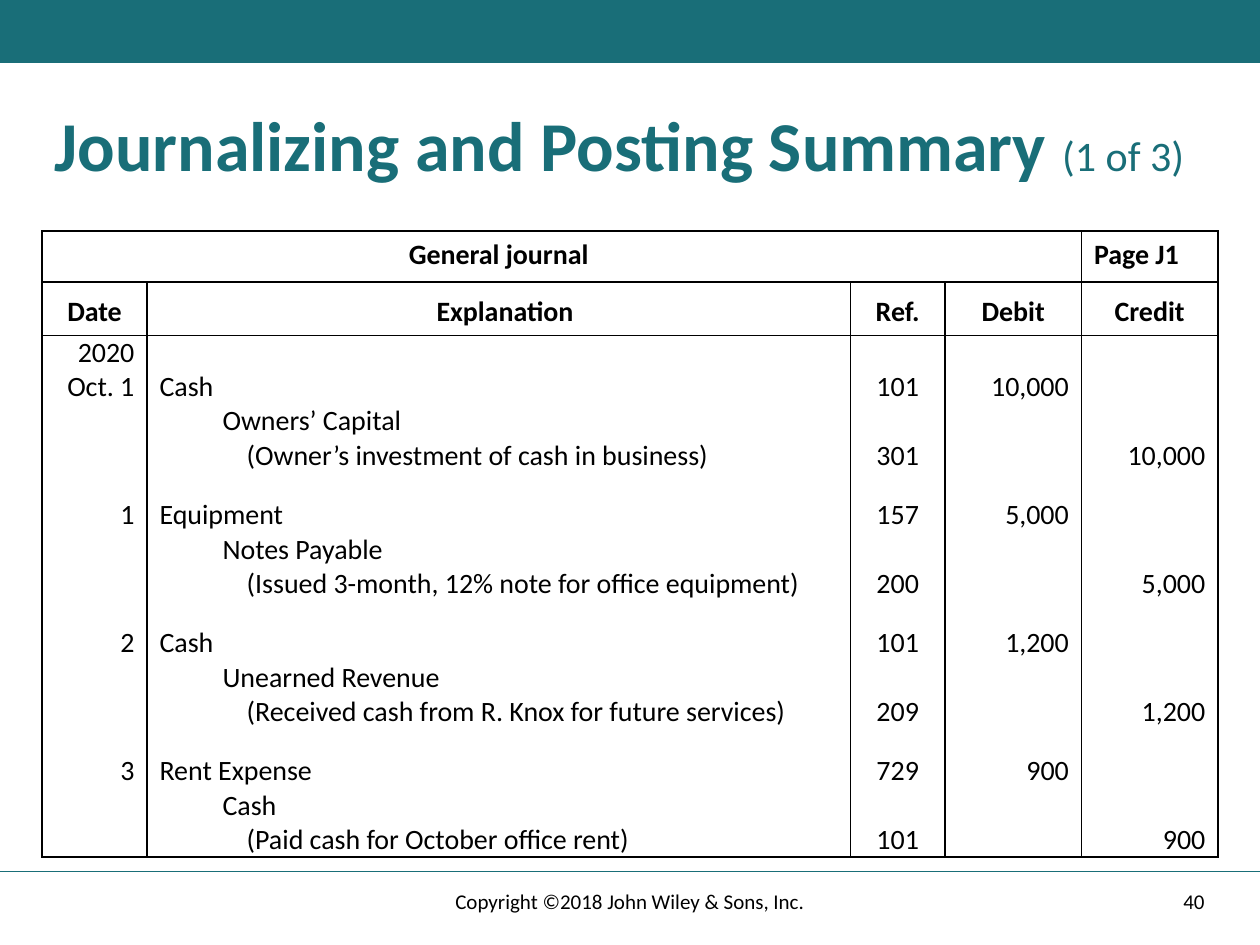
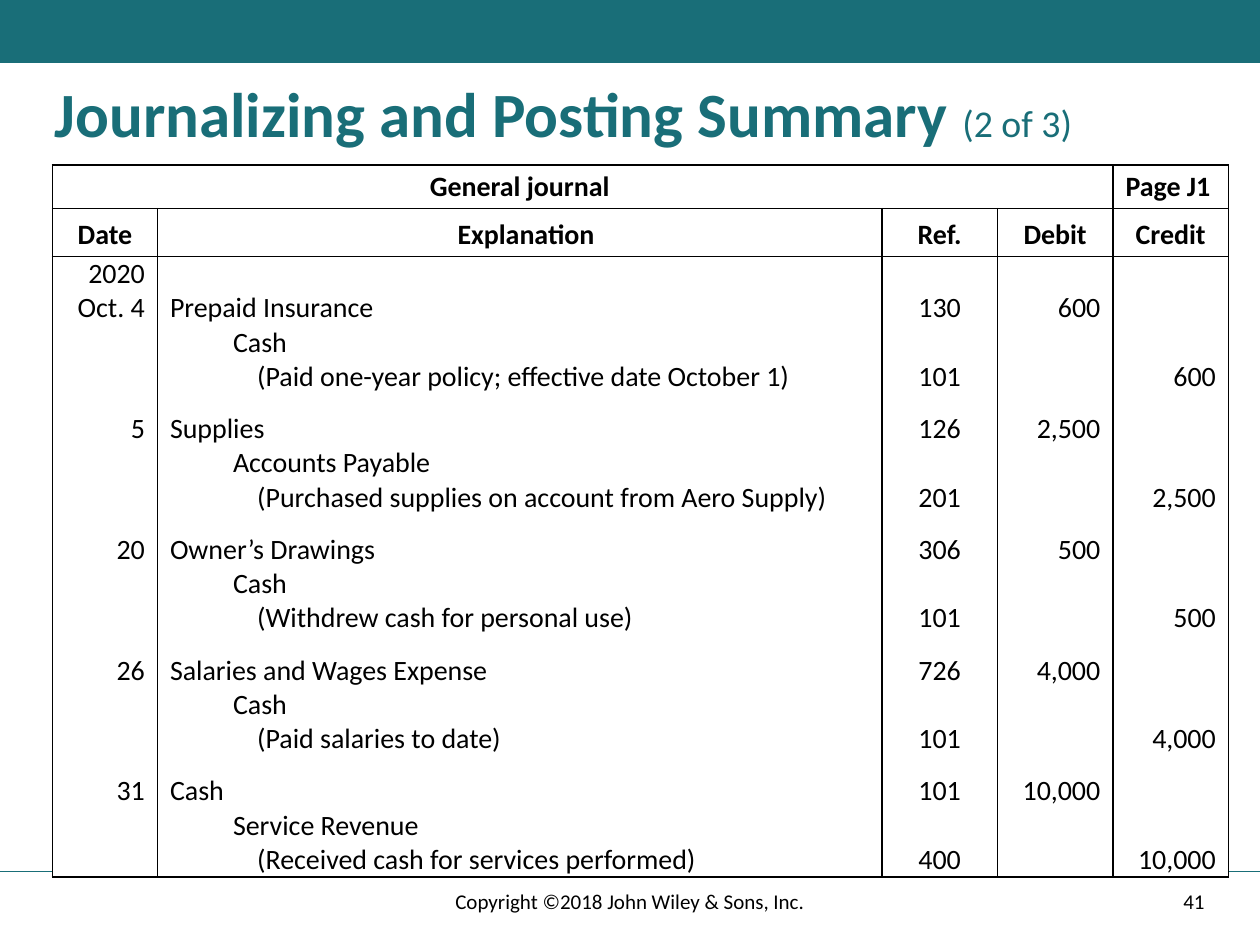
from lxml import etree
from pptx import Presentation
from pptx import util as u
from pptx.dml.color import RGBColor
from pptx.enum import shapes, text
from pptx.oxml.ns import qn

TEAL, BLACK, WHITE = "196E78", "000000", "FFFFFF"
FONT = "Calibri"
COLS, ROWS = 120, 90
BAND_ROWS, RULE_ROW, FOOT_ROW, FOOT_ROWS = 6, 83, 83.4, 4.8
LINE_ROWS = 3.27
LEFT, CENTER, RIGHT = text.PP_ALIGN.LEFT, text.PP_ALIGN.CENTER, text.PP_ALIGN.RIGHT
TOP, MIDDLE, BOTTOM = text.MSO_ANCHOR.TOP, text.MSO_ANCHOR.MIDDLE, text.MSO_ANCHOR.BOTTOM
HEADINGS = ["Date", "Explanation", "Ref.", "Debit", "Credit"]
BODY_ALIGNS = [RIGHT, LEFT, CENTER, RIGHT, RIGHT]
INDENTS = [0, 6, 8.3]
COPYRIGHT = "Copyright ©2018 John Wiley & Sons, Inc."

SLIDES = [
    dict(part="(1 of 3)", number=40, title_box=(4, 10, 112, 10), title_size=40,
         corner=(4, 22), widths=[10, 67, 9, 13, 13], heights=[4.87, 5.05],
         title_pad=0.6, head_pads=(1.2, 0.6), gap=2.4,
         entries=[
             ("2020\nOct. 1", "Cash", "101", "10,000", "Owners’ Capital",
              "(Owner’s investment of cash in business)", "301"),
             ("1", "Equipment", "157", "5,000", "Notes Payable",
              "(Issued 3-month, 12% note for office equipment)", "200"),
             ("2", "Cash", "101", "1,200", "Unearned Revenue",
              "(Received cash from R. Knox for future services)", "209"),
             ("3", "Rent Expense", "729", "900", "Cash",
              "(Paid cash for October office rent)", "101"),
         ]),
    dict(part="(2 of 3)", number=41, title_box=(4, 7.3, 112, 8), title_size=36,
         corner=(5, 15.7), widths=[10, 69, 11, 11, 11], heights=[4.1, 4.57],
         title_pad=0.45, head_pads=(0.85, 0.45), gap=1.7,
         entries=[
             ("2020\nOct. 4", "Prepaid Insurance", "130", "600", "Cash",
              "(Paid one-year policy; effective date October 1)", "101"),
             ("5", "Supplies", "126", "2,500", "Accounts Payable",
              "(Purchased supplies on account from Aero Supply)", "201"),
             ("20", "Owner’s Drawings", "306", "500", "Cash",
              "(Withdrew cash for personal use)", "101"),
             ("26", "Salaries and Wages Expense", "726", "4,000", "Cash",
              "(Paid salaries to date)", "101"),
             ("31", "Cash", "101", "10,000", "Service Revenue",
              "(Received cash for services performed)", "400"),
         ]),
]


def grid(*counts):
    """Turn counts of grid cells, each a twelfth of an inch, into lengths."""
    return [u.Inches(n * 10 / COLS) for n in counts]


def rgb(color):
    """Turn a hex string into a colour."""
    return RGBColor.from_string(color)


def assign(obj, **values):
    """Set attributes of an object from format values."""
    for name, value in values.items():
        setattr(obj, name, value)


def add_run(p, words, size, color=BLACK, bold=False):
    """Add a formatted run to a paragraph."""
    r = p.add_run()
    r.text = words
    assign(r.font, name=FONT, size=u.Pt(size), bold=bold)
    r.font.color.rgb = rgb(color)


def add_band(s):
    """Draw the top band and the rule above the footer."""
    sp = s.shapes.add_shape(shapes.MSO_SHAPE.RECTANGLE, *grid(0, 0, COLS, BAND_ROWS))
    sp.shadow.inherit = False
    sp.fill.solid()
    sp.fill.fore_color.rgb = rgb(TEAL)
    sp.line.fill.background()
    rule = s.shapes.add_connector(shapes.MSO_CONNECTOR.STRAIGHT,
                                  *grid(0, RULE_ROW, COLS, RULE_ROW))
    rule.line.color.rgb = rgb(TEAL)
    rule.line.width = u.Pt(1)
    etree.SubElement(rule.element.spPr, qn("a:effectLst"))


def add_title(s, box, size, part):
    """Place the title with its smaller part number."""
    sp = s.shapes.title
    assign(sp, **dict(zip(("left", "top", "width", "height"), grid(*box))))
    tf = sp.text_frame
    assign(tf, vertical_anchor=TOP, word_wrap=True, auto_size=text.MSO_AUTO_SIZE.NONE)
    p = tf.paragraphs[0]
    assign(p, alignment=LEFT, line_spacing=0.9)
    add_run(p, "Journalizing and Posting Summary ", size, TEAL, True)
    add_run(p, part, size * 0.6, TEAL)


def add_footer(s, number):
    """Write the page number and the copyright line."""
    for left, width, words, align in ((84.7, 31.2, str(number), RIGHT),
                                      (39.7, 40.6, COPYRIGHT, CENTER)):
        sp = s.shapes.add_textbox(*grid(left, FOOT_ROW, width, FOOT_ROWS))
        assign(sp.text_frame, word_wrap=True, vertical_anchor=MIDDLE)
        p = sp.text_frame.paragraphs[0]
        p.alignment = align
        add_run(p, words, 12)


def set_borders(cell, edges):
    """Draw the named edges of a cell and clear the others."""
    tc_pr = cell._tc.get_or_add_tcPr()
    for edge in "LRTB":
        ln = etree.SubElement(tc_pr, qn("a:ln" + edge), w=str(u.Pt(1)))
        if edge in edges:
            fill = etree.SubElement(ln, qn("a:solidFill"))
            etree.SubElement(fill, qn("a:srgbClr"), val=BLACK)
        else:
            etree.SubElement(ln, qn("a:noFill"))


def fill_cell(cell, words, edges, align, pads, anchor=BOTTOM, bold=False, indents=(0, 0)):
    """Write a cell; pads are left, top, right and bottom."""
    set_borders(cell, edges)
    cell.fill.solid()
    cell.fill.fore_color.rgb = rgb(WHITE)
    left, top, right, bottom = grid(*(pads if words else (0, 0, 0, 0)))
    assign(cell, margin_left=left, margin_top=top, margin_right=right,
           margin_bottom=bottom, vertical_anchor=anchor)
    if not words:
        return
    tf = cell.text_frame
    for i, (line, indent) in enumerate(zip(words.split("\n"), indents)):
        p = tf.add_paragraph() if i else tf.paragraphs[0]
        p.alignment = align
        if indent:
            p.level = 1
            pPr = p._p.get_or_add_pPr()
            pPr.set("marL", str(grid(indent)[0]))
            pPr.set("indent", "0")
        add_run(p, line, 16, bold=bold)


def add_journal(s, corner, widths, heights, title_pad, head_pads, gap, entries):
    """Build the journal: a title row, headings and two rows for each entry."""
    body = []
    for i, (date, debit, ref, amount, credit, note, credit_ref) in enumerate(entries):
        body.append(((date, debit, ref, amount, ""), gap if i else 0, (0, 0)))
        body.append((("", f"{credit}\n{note}", credit_ref, "", amount), 0, INDENTS[1:]))
    heights = heights + [
        gap + LINE_ROWS if pad else 2 * LINE_ROWS for _, pad, _ in body]
    table = s.shapes.add_table(len(heights), len(widths),
                               *grid(*corner, sum(widths), sum(heights))).table
    assign(table, first_row=False, horz_banding=False)
    for column, width in zip(table.columns, grid(*widths)):
        column.width = width
    for row, height in zip(table.rows, grid(*heights)):
        row.height = height

    titles = ["", "General journal", "", "", "Page J1"]
    title_edges = ["LTB", "TB", "TB", "RTB", "LRTB"]
    for c, (words, edges) in enumerate(zip(titles, title_edges)):
        fill_cell(table.cell(0, c), words, edges, LEFT if c == 4 else CENTER,
                  (1.2, title_pad, 1.2, title_pad), TOP, True)
    for c, words in enumerate(HEADINGS):
        fill_cell(table.cell(1, c), words, "LRTB", CENTER,
                  (1.2 if c == 1 else 0, head_pads[0], 0, head_pads[1]), bold=True)
    for i, (values, pad, indents) in enumerate(body):
        edges = "LR" + ("T" if i == 0 else "") + ("B" if i == len(body) - 1 else "")
        for c, (words, align) in enumerate(zip(values, BODY_ALIGNS)):
            pads = (1.2 if align == LEFT else 0, pad, 1.2 if align == RIGHT else 0, 0)
            fill_cell(table.cell(i + 2, c), words, edges, align, pads,
                      indents=indents if c == 1 else (0, 0))


def add_journal_slide(prs, part, number, title_box, title_size, **journal):
    """Add one slide with its band, title, journal and footer."""
    s = prs.slides.add_slide(prs.slide_layouts[5])
    add_band(s)
    add_title(s, title_box, title_size, part)
    add_journal(s, **journal)
    add_footer(s, number)


def main():
    """Build and save the presentation."""
    prs = Presentation()
    prs.slide_width, prs.slide_height = grid(COLS, ROWS)
    for slide in SLIDES:
        add_journal_slide(prs, **slide)
    prs.save("out.pptx")


if __name__ == "__main__":
    main()
